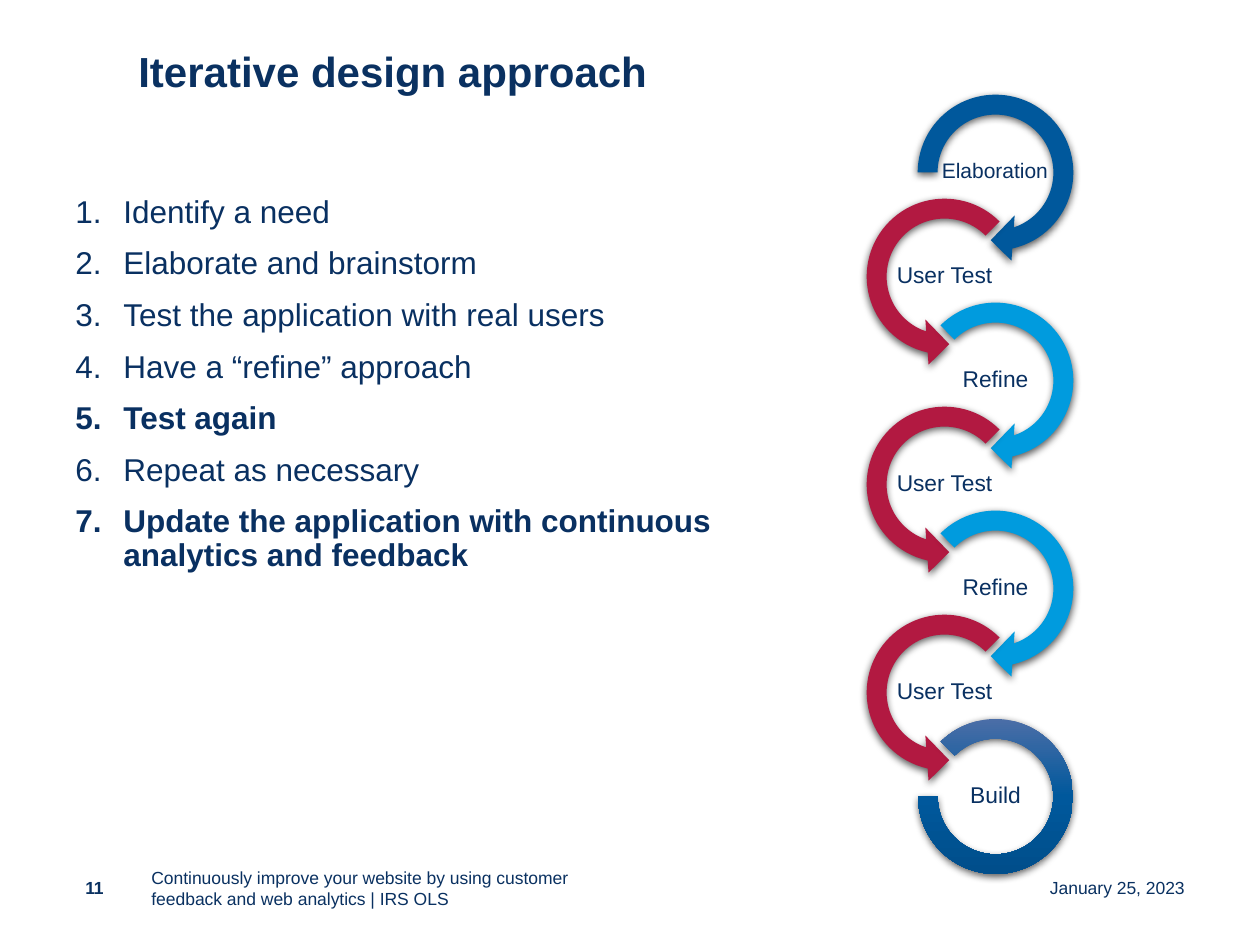
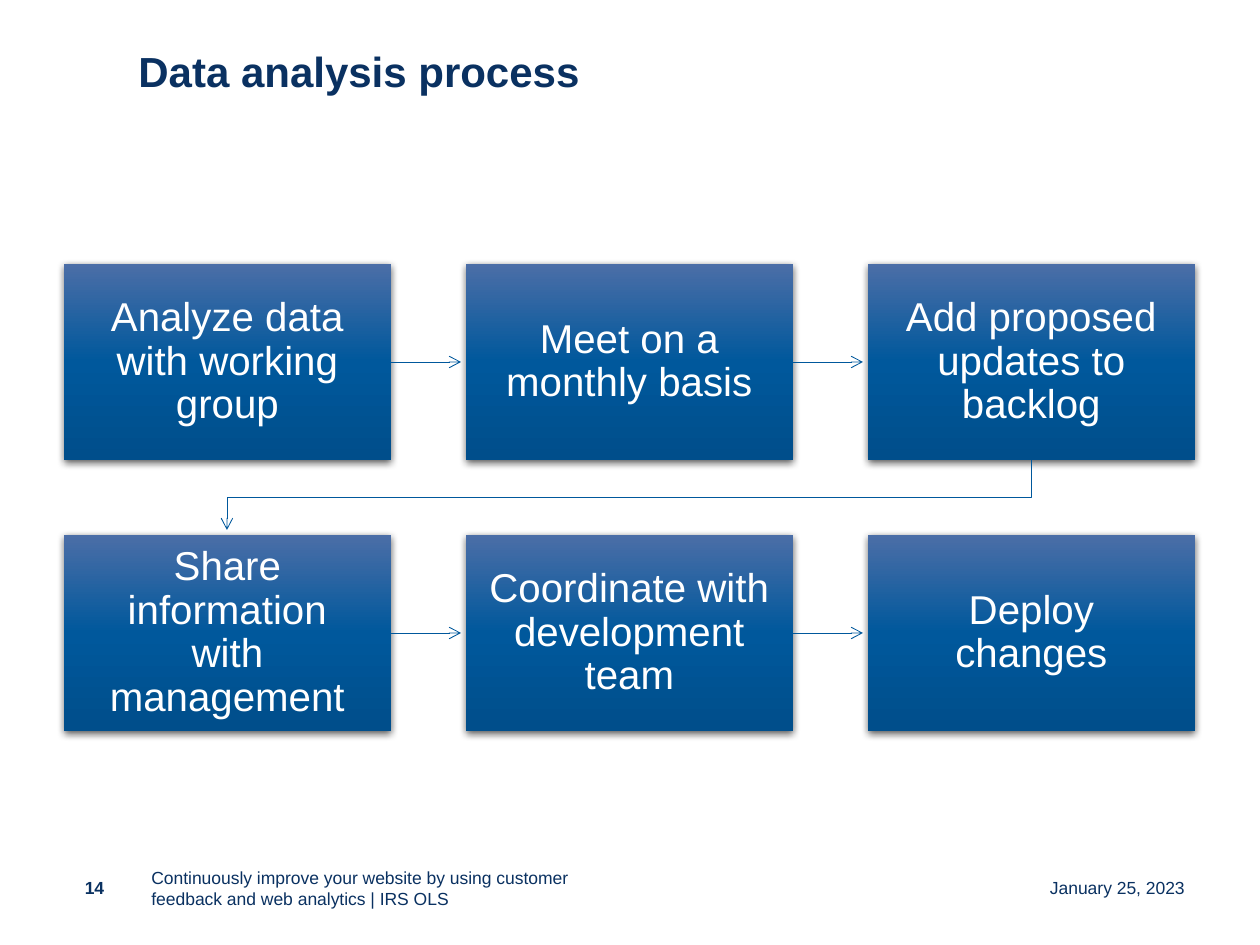
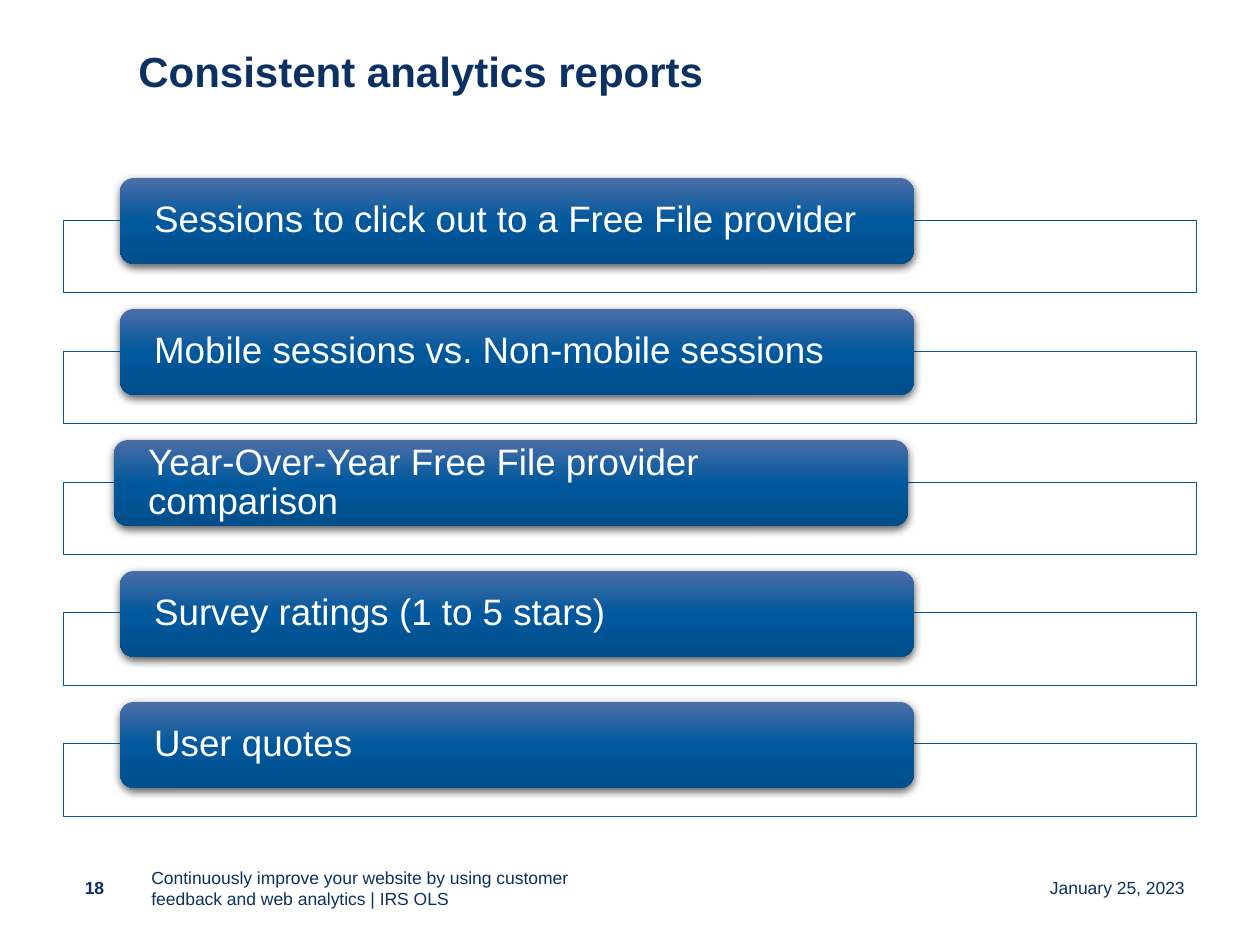
from copy import deepcopy

from lxml.etree import SubElement
from pptx import Presentation
from pptx.dml.color import RGBColor
from pptx.enum.shapes import MSO_CONNECTOR, MSO_SHAPE
from pptx.enum.text import MSO_ANCHOR, PP_ALIGN
from pptx.oxml.ns import qn
from pptx.util import Emu, Pt

# Content
FOOTER = ("Continuously improve your website by using customer "
          "feedback and web analytics | IRS OLS")
DATE = "January 25, 2023"

APPROACH = [
    ("Identify a need", False),
    ("Elaborate and brainstorm", False),
    ("Test the application with real users", False),
    ("Have a “refine” approach", False),
    ("Test again", True),
    ("Repeat as necessary", False),
    ("Update the application with continuous analytics and feedback", True),
]
CYCLE = [
    ("Elaboration", "start"),
    ("User Test", "test"),
    ("Refine", "refine"),
    ("User Test", "test"),
    ("Refine", "refine"),
    ("User Test", "test"),
    ("Build", "end"),
]
PROCESS = [
    "Analyze data with working group",
    "Meet on a monthly basis",
    "Add proposed updates to backlog",
    "Share information with management",
    "Coordinate with development team",
    "Deploy changes",
]
REPORTS = [  # text, left edge of the bar
    ("Sessions to click out to a Free File provider", 120),
    ("Mobile sessions vs. Non-mobile sessions", 120),
    ("Year-Over-Year Free File provider comparison", 114),
    ("Survey ratings (1 to 5 stars)", 120),
    ("User quotes", 120),
]

# Shared look
COLORS = {
    "title": "0A3161", "text": "093061", "white": "FFFFFF", "blue": "00589C",
    "red": "B21941", "sky": "009BDE", "top": "4B6EA7", "bottom": "004E8B",
}
GRADIENT = [(0, "top"), (0.5, "blue"), (1, "bottom")]
RINGS = {  # preset shape, adjustments, centre x, size, fill (None = gradient)
    "start": (MSO_SHAPE.CIRCULAR_ARROW, (0.11, 11.42, 45, 108, 0.125), 995, 181, "blue"),
    "test": (MSO_SHAPE.LEFT_CIRCULAR_ARROW, (0.11, 11.42, 63, 189, 0.125), 944, 181, "red"),
    "refine": (MSO_SHAPE.CIRCULAR_ARROW, (0.11, 11.42, 45, 135, 0.125), 995, 181, "sky"),
    "end": (MSO_SHAPE.BLOCK_ARC, (135, 108, 0.127), 995, 155, None),
}
FONT = "Arial"
TIGHT = 0.9


def px(value):
    return Emu(round(value * 914400 / 126))


def rgb(name):
    return RGBColor.from_string(COLORS[name])


# Text
def set_font(para, size, color, bold=False):
    values = {"name": FONT, "size": Pt(size), "bold": bold}
    for span in para.runs:
        for key, value in values.items():
            setattr(span.font, key, value)
        span.font.color.rgb = rgb(color)


def write(shape, text, size, color, bold=False, align=PP_ALIGN.LEFT,
          spacing=None, margins=None):
    frame = shape.text_frame
    frame.word_wrap = True
    frame.vertical_anchor = MSO_ANCHOR.MIDDLE
    if margins:
        across, down = map(px, margins)
        edges = {"margin_left": across, "margin_right": across,
                 "margin_top": down, "margin_bottom": down}
        for key, value in edges.items():
            setattr(frame, key, value)
    para = frame.paragraphs[0]
    para.text = text
    para.alignment = align
    para.line_spacing = spacing
    set_font(para, size, color, bold)


def add_text(page, place, text, size, color, **options):
    box = page.shapes.add_textbox(*map(px, place))
    write(box, text, size, color, **options)


# Shapes
def add_shadow(shape):
    shape.shadow.inherit = False
    effects = shape._element.spPr.find(qn("a:effectLst"))
    shadow = SubElement(effects, qn("a:outerShdw"), blurRad=str(Pt(4.5)),
                        dist=str(Pt(1.5)), dir="5400000", algn="ctr", rotWithShape="0")
    black = SubElement(shadow, qn("a:srgbClr"), val="000000")
    SubElement(black, qn("a:alpha"), val="63000")


def fill_gradient(shape):
    shape.fill.gradient()
    shape.fill.gradient_angle = 270
    stops = shape._element.spPr.find(".//" + qn("a:gsLst"))
    stops.insert(1, deepcopy(stops[0]))
    for stop, (position, color) in zip(shape.fill.gradient_stops, GRADIENT):
        stop.position = position
        stop.color.rgb = rgb(color)


def add_raised(page, kind, place, color=None):
    shape = page.shapes.add_shape(kind, *map(px, place))
    if color:
        shape.fill.solid()
        shape.fill.fore_color.rgb = rgb(color)
    else:
        fill_gradient(shape)
    shape.line.fill.background()
    add_shadow(shape)
    return shape


def add_arrow(page, points):
    points = [(px(x), px(y)) for x, y in points]
    if len(points) == 2:
        arrow = page.shapes.add_connector(MSO_CONNECTOR.STRAIGHT, *points[0], *points[1])
    else:
        builder = page.shapes.build_freeform(*points[0])
        builder.add_line_segments(points[1:], close=False)
        arrow = builder.convert_to_shape()
        arrow.fill.background()
    arrow.line.color.rgb = rgb("blue")
    arrow.line.width = Pt(0.5)
    properties = arrow._element.spPr
    SubElement(properties.find(qn("a:ln")), qn("a:tailEnd"), type="arrow")
    SubElement(properties, qn("a:effectLst"))


# Title and footer of every slide
def add_page(deck, title, number):
    page = deck.slides.add_slide(deck.slide_layouts[6])
    add_text(page, (126, 26, 756, 95), title, 24, "title", bold=True, spacing=TIGHT)
    add_text(page, (63, 863, 63, 50), number, 10, "title", bold=True,
             align=PP_ALIGN.CENTER)
    add_text(page, (139, 863, 504, 50), FOOTER, 10, "title")
    add_text(page, (922, 863, 275, 50), DATE, 10, "title", align=PP_ALIGN.RIGHT)
    return page


# Numbered steps beside a chain of rings
def add_steps(page):
    box = page.shapes.add_textbox(*map(px, (63, 190, 727, 616)))
    frame = box.text_frame
    frame.word_wrap = True
    for index, (text, bold) in enumerate(APPROACH):
        para = frame.paragraphs[0] if index == 0 else frame.add_paragraph()
        para.text = text
        layout = {"line_spacing": TIGHT, "space_before": Pt(4 if index else 0),
                  "space_after": Pt(6)}
        for key, value in layout.items():
            setattr(para, key, value)
        properties = para._p.get_or_add_pPr()
        properties.set("marL", str(px(48)))
        properties.set("indent", str(px(-48)))
        bullet_color = SubElement(properties, qn("a:buClr"))
        SubElement(bullet_color, qn("a:srgbClr"), val=COLORS["text"])
        SubElement(properties, qn("a:buFont"), typeface=FONT)
        SubElement(properties, qn("a:buAutoNum"), type="arabicPeriod")
        set_font(para, 18, "text", bold)


def add_cycle(page):
    first_middle, step, label_height = 172, 104, 50
    for index, (label, role) in enumerate(CYCLE):
        kind, adjustments, center, size, color = RINGS[role]
        middle = first_middle + index * step
        ring = add_raised(page, kind, (center - size // 2, middle - size // 2, size, size),
                          color)
        for position, value in enumerate(adjustments):
            ring.adjustments[position] = value
        width, points = (164, 12) if role == "start" else (101, 13)
        place = (center - width // 2, middle - label_height // 2, width, label_height)
        add_text(page, place, label, points, "text", align=PP_ALIGN.CENTER,
                 spacing=TIGHT, margins=(1, 1))


# Boxes in rows, joined by arrows
def add_process(page):
    left, top, width, height, gap, columns, clearance = 64, 264, 327, 196, 75, 3, 5
    places = [(left + index % columns * (width + gap),
               top + index // columns * (height + gap)) for index in range(len(PROCESS))]
    for index, (text, (x, y)) in enumerate(zip(PROCESS, places)):
        box = add_raised(page, MSO_SHAPE.RECTANGLE, (x, y, width, height))
        write(box, text, 23, "white", align=PP_ALIGN.CENTER, spacing=TIGHT,
              margins=(23, 23))
        if index + 1 == len(places):
            continue
        next_x, next_y = places[index + 1]
        if next_y == y:
            middle = y + height // 2
            points = [(x + width, middle), (next_x - clearance, middle)]
        else:
            start, end = x + width // 2, next_x + width // 2
            turn = y + height + gap // 2
            points = [(start, y + height), (start, turn), (end, turn),
                      (end, next_y - clearance)]
        add_arrow(page, points)


# Bars over outlined frames
def add_reports(page):
    step = 131
    for index, (text, left) in enumerate(REPORTS):
        offset = index * step
        frame = page.shapes.add_shape(
            MSO_SHAPE.RECTANGLE, *map(px, (63, 220 + offset, 1134, 73)))
        frame.shadow.inherit = False
        frame.fill.solid()
        frame.fill.fore_color.rgb = rgb("white")
        tint = frame._element.spPr.find(qn("a:solidFill"))[0]
        SubElement(tint, qn("a:alpha"), val="90000")
        frame.line.color.rgb = rgb("blue")
        frame.line.width = Pt(0.5)
        bar = add_raised(page, MSO_SHAPE.ROUNDED_RECTANGLE, (left, 178 + offset, 794, 86))
        write(bar, text, 21, "white", spacing=TIGHT, margins=(30, 0))


def main():
    deck = Presentation()
    deck.slide_width, deck.slide_height = px(1260), px(945)
    page = add_page(deck, "Iterative design approach", "11")
    add_steps(page)
    add_cycle(page)
    add_process(add_page(deck, "Data analysis process", "14"))
    add_reports(add_page(deck, "Consistent analytics reports", "18"))
    deck.save("out.pptx")


if __name__ == "__main__":
    main()
